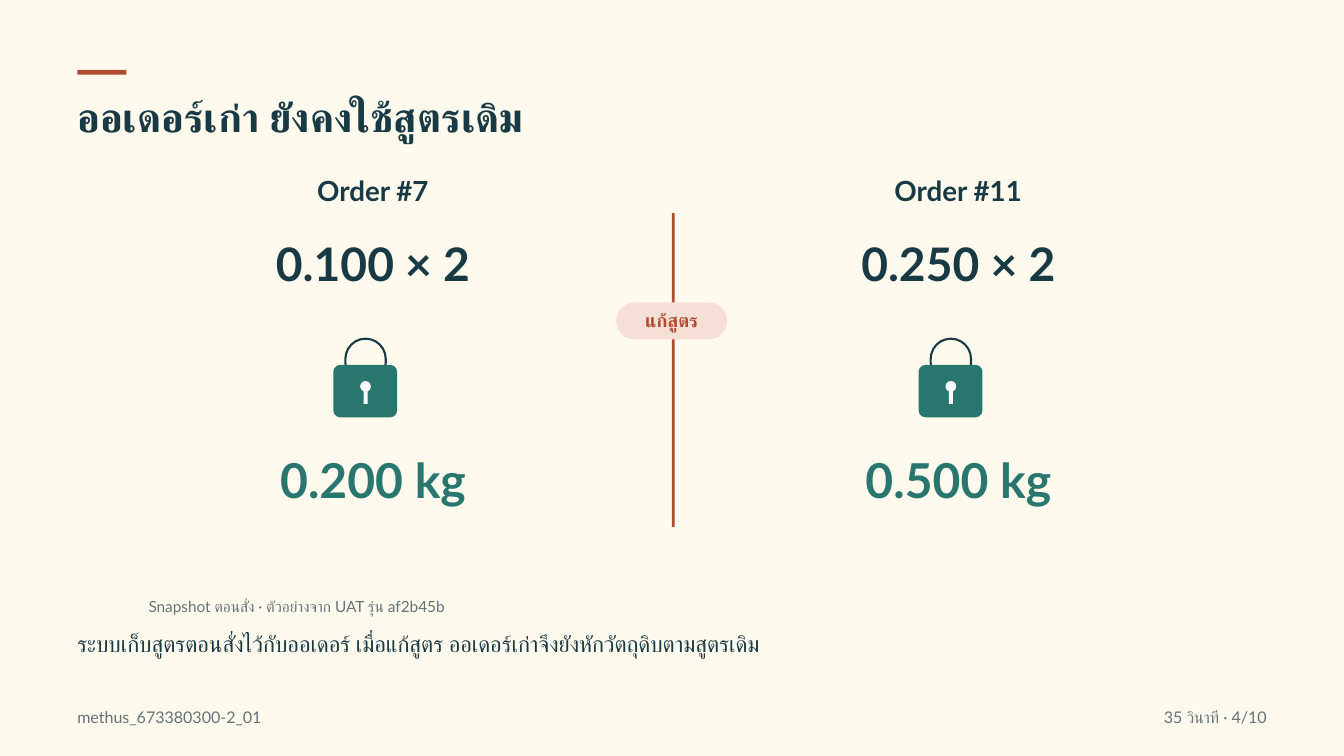
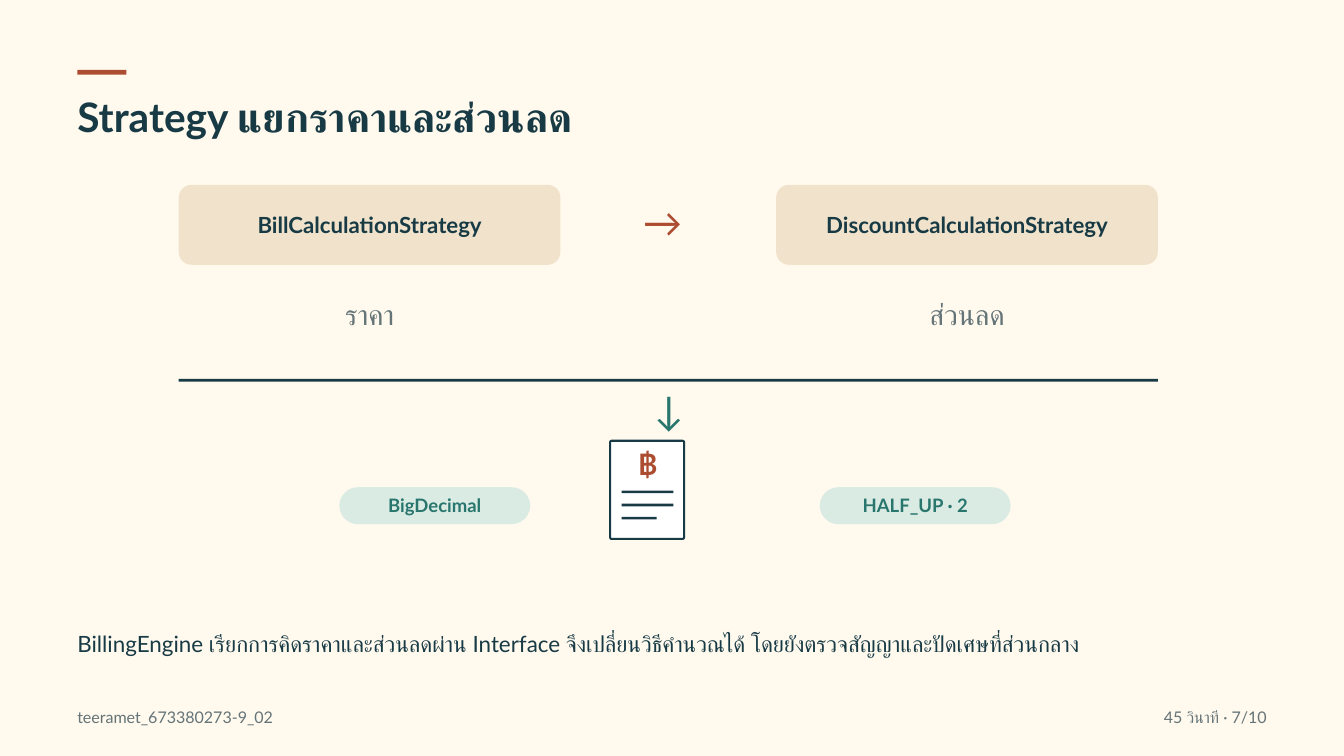
from dataclasses import dataclass

from lxml import etree
from pptx import Presentation
from pptx.dml.color import RGBColor
from pptx.enum.shapes import MSO_SHAPE
from pptx.enum.text import MSO_ANCHOR, MSO_AUTO_SIZE, PP_ALIGN
from pptx.oxml.ns import qn
from pptx.util import Inches, Pt

RECTANGLE = MSO_SHAPE.RECTANGLE
ROUNDED = MSO_SHAPE.ROUNDED_RECTANGLE
OVAL = MSO_SHAPE.OVAL
LEFT, CENTER, RIGHT = PP_ALIGN.LEFT, PP_ALIGN.CENTER, PP_ALIGN.RIGHT
TOP, MIDDLE = MSO_ANCHOR.TOP, MSO_ANCHOR.MIDDLE
TITLE_AND_CONTENT = 1


@dataclass(frozen=True)
class Style:
    size: float
    color: str
    bold: bool = False


class Theme:
    font = "Lato"
    line_ratio = 1.34
    cream, white, sand = "FFF9EE", "FFFFFF", "F1E3CB"
    navy, gray = "173A45", "647477"
    rust, blush = "AC4D31", "F6DFD6"
    teal, mint = "28766D", "DAEBE4"

    title = Style(43.5, navy, True)
    body = Style(24, navy)
    footer = Style(17.2, gray)
    note = Style(16.5, gray)
    order = Style(29.7, navy, True)
    formula = Style(49.5, navy, True)
    result = Style(51.5, teal, True)
    edit_pill = Style(19.8, rust, True)
    rule_pill = Style(19.8, teal, True)
    strategy = Style(23.8, navy, True)
    strategy_role = Style(30.4, gray)
    next_arrow = Style(42.2, rust)
    down_arrow = Style(42.2, teal)
    baht = Style(31.7, rust, True)


ORDER_SLIDE = {
    "title": "ออเดอร์เก่า ยังคงใช้สูตรเดิม",
    "body": "ระบบเก็บสูตรตอนสั่งไว้กับออเดอร์ เมื่อแก้สูตร ออเดอร์เก่าจึงยังหักวัตถุดิบตามสูตรเดิม",
    "author": "methus_673380300-2_01",
    "timing": "35 วินาที · 4/10",
    "orders": [
        ("Order #7", "0.100 × 2", "0.200 kg"),
        ("Order #11", "0.250 × 2", "0.500 kg"),
    ],
    "change": "แก้สูตร",
    "note": "Snapshot ตอนสั่ง · ตัวอย่างจาก UAT รุ่น af2b45b",
}
STRATEGY_SLIDE = {
    "title": "Strategy แยกราคาและส่วนลด",
    "body": "BillingEngine เรียกการคิดราคาและส่วนลดผ่าน Interface จึงเปลี่ยนวิธีคำนวณได้ "
            "โดยยังตรวจสัญญาและปัดเศษที่ส่วนกลาง",
    "author": "teeramet_673380273-9_02",
    "timing": "45 วินาที · 7/10",
    "strategies": [("BillCalculationStrategy", "ราคา"), ("DiscountCalculationStrategy", "ส่วนลด")],
    "rules": ["BigDecimal", "HALF_UP · 2"],
}

MARGIN = 1.15
ORDER_CENTER, ORDER_PITCH = 5.55, 8.71
STRATEGY_LEFT, STRATEGY_WIDTH, STRATEGY_PITCH = 2.66, 5.68, 8.89
RULE_LEFT, RULE_PITCH = 5.05, 7.15
RECEIPT_LINES = (0.77, 0.77, 0.52)


def place(shape, box):
    shape.left, shape.top, shape.width, shape.height = map(Inches, box)


def write(shape, text, style, align=LEFT, anchor=TOP, bottom=0):
    frame = shape.text_frame
    settings = {
        "word_wrap": True, "auto_size": MSO_AUTO_SIZE.NONE, "vertical_anchor": anchor,
        "margin_left": 0, "margin_right": 0, "margin_top": 0, "margin_bottom": Inches(bottom),
    }
    for name, value in settings.items():
        setattr(frame, name, value)
    frame.text = text
    paragraph = frame.paragraphs[0]
    properties = paragraph._p.get_or_add_pPr()
    properties.set("marL", "0")
    properties.set("indent", "0")
    etree.SubElement(properties, qn("a:buNone"))
    paragraph.alignment = align
    paragraph.space_before = Pt(0)
    paragraph.line_spacing = Pt(round(style.size * Theme.line_ratio, 1))
    font = paragraph.runs[0].font
    for name, value in {"name": Theme.font, "size": Pt(style.size), "bold": style.bold}.items():
        setattr(font, name, value)
    font.color.rgb = RGBColor.from_string(style.color)
    for script in ("a:ea", "a:cs"):
        etree.SubElement(font._element, qn(script), typeface=Theme.font)


def add_text(slide, box, text, style, align=CENTER):
    write(slide.shapes.add_textbox(*map(Inches, box)), text, style, align)


def add_block(slide, box, fill=None, kind=RECTANGLE, radius=None, line=None):
    """Add a preset shape; radius is a share of the shorter side."""
    shape = slide.shapes.add_shape(kind, *map(Inches, box))
    shape.shadow.inherit = False
    if radius is not None:
        shape.adjustments[0] = radius
    if fill:
        shape.fill.solid()
        shape.fill.fore_color.rgb = RGBColor.from_string(fill)
    else:
        shape.fill.background()
    if line:
        shape.line.color.rgb = RGBColor.from_string(line)
        shape.line.width = Pt(2.25)
    else:
        shape.line.fill.background()
    return shape


def add_label(slide, box, fill, radius, text, style):
    shape = add_block(slide, box, fill, ROUNDED, radius)
    write(shape, text, style, CENTER, MIDDLE, bottom=0.06)


def add_lock(slide, left, top):
    add_block(slide, (left + 0.18, top, 0.6, 0.66), None, ROUNDED, 0.5, Theme.navy)
    add_block(slide, (left, top + 0.39, 0.95, 0.78), Theme.teal, ROUNDED, 0.13)
    add_block(slide, (left + 0.4, top + 0.63, 0.16, 0.16), Theme.white, OVAL)
    add_block(slide, (left + 0.45, top + 0.74, 0.06, 0.23), Theme.white)


def add_receipt(slide, left, top):
    add_block(slide, (left, top, 1.1, 1.46), Theme.white, ROUNDED, 0.02, Theme.navy)
    add_text(slide, (left + 0.28, top + 0.01, 0.55, 0.64), "฿", Theme.baht)
    for row, width in enumerate(RECEIPT_LINES):
        add_block(slide, (left + 0.17, top + 0.74 + row * 0.195, width, 0.04), Theme.navy)


def start_slide(presentation, content):
    """Add a slide with the shared background, accent, title, body and footer."""
    slide = presentation.slides.add_slide(presentation.slide_layouts[TITLE_AND_CONTENT])
    slide.background.fill.solid()
    slide.background.fill.fore_color.rgb = RGBColor.from_string(Theme.cream)
    add_block(slide, (MARGIN, 1.04, 0.73, 0.07), Theme.rust)
    title, body = slide.placeholders
    place(title, (MARGIN, 1.29, 17.81, 0.87))
    write(title, content["title"], Theme.title)
    place(body, (MARGIN, 9.33, 17.71, 0.93))
    write(body, content["body"], Theme.body)
    add_text(slide, (MARGIN, 10.5, 13.02, 0.34), content["author"], Theme.footer, LEFT)
    add_text(slide, (15.31, 10.5, 3.54, 0.34), content["timing"], Theme.footer, RIGHT)
    return slide


def build_order_slide(presentation, content):
    slide = start_slide(presentation, content)
    for column, (order, formula, result) in enumerate(content["orders"]):
        center = ORDER_CENTER + column * ORDER_PITCH
        rows = [
            (order, 2.53, 5.96, 0.59, Theme.order),
            (formula, 3.41, 5.59, 1, Theme.formula),
            (result, 6.61, 5.78, 1.05, Theme.result),
        ]
        for text, top, width, height, style in rows:
            add_text(slide, (center - width / 2, top, width, height), text, style)
        add_lock(slide, center - 0.59, 5.04)
    add_block(slide, (10, 3.17, 0.04, 4.67), Theme.rust)
    add_label(slide, (9.17, 4.5, 1.65, 0.55), Theme.blush, 0.5, content["change"], Theme.edit_pill)
    add_text(slide, (2.21, 8.86, 15.58, 0.34), content["note"], Theme.note, LEFT)


def build_strategy_slide(presentation, content):
    slide = start_slide(presentation, content)
    for column, (strategy, role) in enumerate(content["strategies"]):
        left = STRATEGY_LEFT + column * STRATEGY_PITCH
        add_label(slide, (left, 2.75, STRATEGY_WIDTH, 1.19), Theme.sand, 0.16,
                  strategy, Theme.strategy)
        add_text(slide, (left, 4.36, STRATEGY_WIDTH, 0.61), role, Theme.strategy_role)
    add_text(slide, (9.08, 2.87, 1.56, 0.85), "→", Theme.next_arrow)
    add_block(slide, (STRATEGY_LEFT, 5.64, STRATEGY_PITCH + STRATEGY_WIDTH, 0.04), Theme.navy)
    add_text(slide, (9.22, 5.67, 1.47, 0.85), "↓", Theme.down_arrow)
    add_receipt(slide, 9.08, 6.56)
    for column, rule in enumerate(content["rules"]):
        left = RULE_LEFT + column * RULE_PITCH
        add_label(slide, (left, 7.25, 2.84, 0.55), Theme.mint, 0.5, rule, Theme.rule_pill)


def main():
    presentation = Presentation()
    presentation.slide_width, presentation.slide_height = Inches(20), Inches(11.25)
    build_order_slide(presentation, ORDER_SLIDE)
    build_strategy_slide(presentation, STRATEGY_SLIDE)
    presentation.save("out.pptx")


if __name__ == "__main__":
    main()
